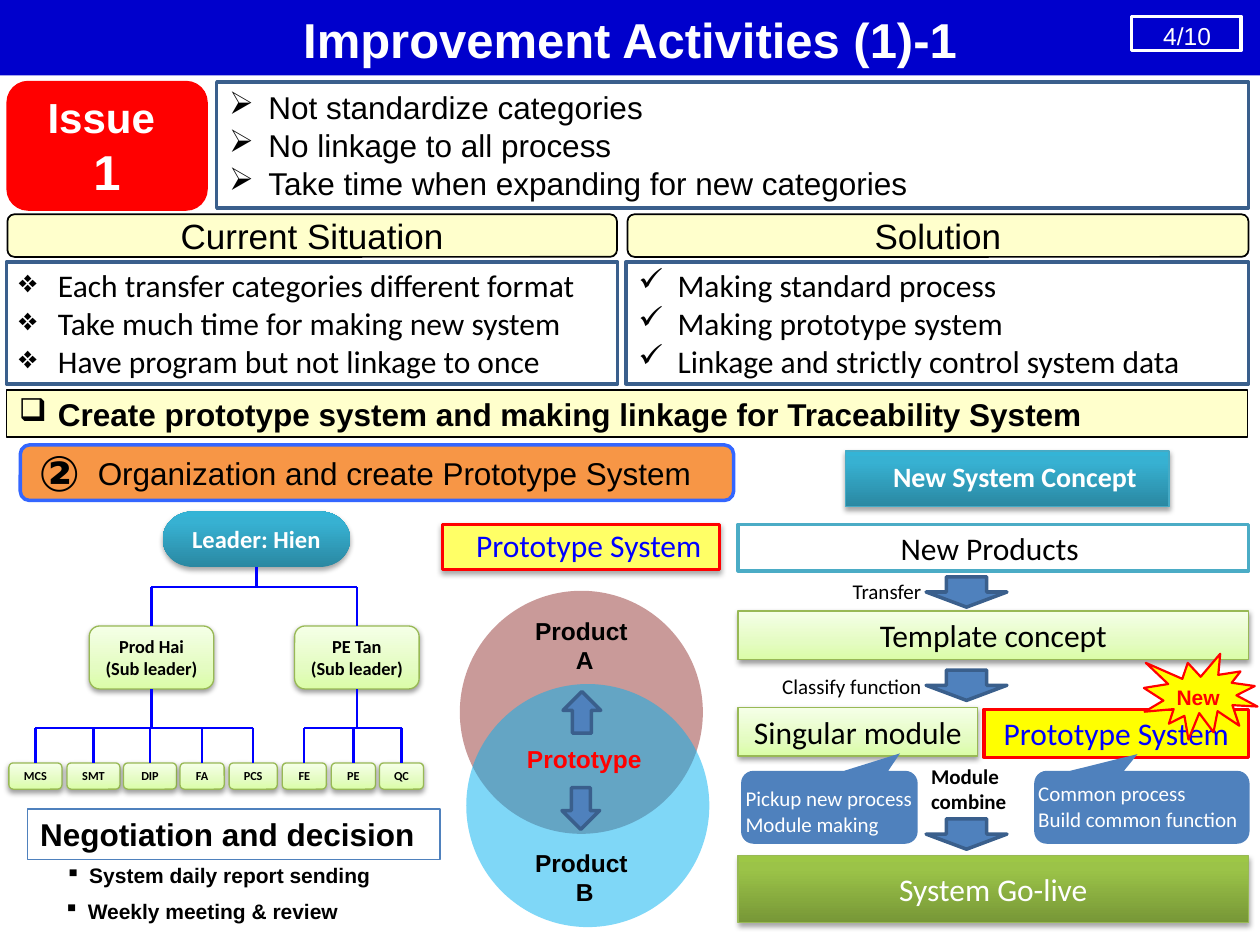
from dataclasses import dataclass, field
from typing import Optional, Union

from lxml.etree import SubElement
from pptx import Presentation
from pptx.dml.color import RGBColor
from pptx.enum.shapes import MSO_CONNECTOR as Link, MSO_SHAPE as Kind
from pptx.enum.text import MSO_ANCHOR as Anchor, MSO_AUTO_SIZE as Fit, PP_ALIGN as Align
from pptx.oxml.ns import qn
from pptx.util import Cm, Pt

BLACK, WHITE, RED, BLUE = "000000", "FFFFFF", "FF0000", "0000FF"
CREAM, STEEL, NAVY = "FFFFCC", "4F81BD", "3A5F8C"


@dataclass(frozen=True)
class Look:
    fill: Union[str, tuple, None] = None
    line: Optional[str] = None
    weight: float = 2
    shadow: int = 0
    opacity: int = 100


@dataclass
class Item:
    kind: Optional[Kind]
    box: tuple
    look: Look = Look()
    text: str = ""
    fmt: dict = field(default_factory=dict)
    adjust: tuple = ()
    turn: int = 0


LIME = Look(((0, "DAFDA7"), (35, "E4FCC2"), (100, "F5FFE7")), "98B955", 0.75, 38)
GREEN = Look(((0, "779737"), (80, "9BC348"), (100, "9DC746")), "98B955", 0.75, 35)
TEAL_STOPS = ((0, "2A88A2"), (80, "37B1D2"), (100, "34B4D6"))
FRAME = Look(None, NAVY)
HEADING = Look(CREAM, BLACK, 1)
ARROW = Look(STEEL, NAVY)
CALLOUT = Look(STEEL)
PLAIN = Look()

CALIBRI = dict(font="Calibri")
LABEL = dict(font="Calibri", size=12, grow=True, align=Align.LEFT)
CALLOUT_TEXT = dict(font="Calibri", size=12, color=WHITE, align=Align.LEFT)
VENN = dict(size=14, bold=True, grow=True)
NOTE = dict(size=12, bold=True, bullet="▪", left=0.48, grow=True)
TAG = dict(font="Calibri", insets=(0.61, 0.18, 0.3, 0.18), spacing=0.9)


def rgb(value: str) -> RGBColor:
    return RGBColor.from_string(value)


def write(shape, text: str, size=18, font="Arial", color=BLACK, bold=False, align=Align.CENTER,
          anchor=None, bullet="", left=0.0, before=0, spacing=None, insets=None, grow=False,
          sizes=()) -> None:
    frame = shape.text_frame
    frame.word_wrap = not grow
    frame.auto_size = Fit.SHAPE_TO_FIT_TEXT if grow else Fit.NONE
    if anchor is not None:
        frame.vertical_anchor = anchor
    if insets:
        (frame.margin_left, frame.margin_top,
         frame.margin_right, frame.margin_bottom) = map(Cm, insets)
    for index, words in enumerate(text.split("\n")):
        paragraph = frame.paragraphs[0] if index == 0 else frame.add_paragraph()
        paragraph.alignment = Align.LEFT if bullet else align
        paragraph.space_before = Pt(before)
        if spacing:
            paragraph.line_spacing = spacing
        run = paragraph.add_run()
        run.text = words
        run.font.size = Pt(sizes[index] if sizes else size)
        run.font.name, run.font.bold = font, bold
        run.font.color.rgb = rgb(color)
        if left:
            properties = paragraph._p.get_or_add_pPr()
            properties.set("marL", str(Cm(left)))
            properties.set("indent", str(-Cm(left) if bullet else 0))
            if bullet:
                SubElement(properties, qn("a:buChar"), char=bullet)


def paint(shape, look: Look) -> None:
    shape.shadow.inherit = False
    properties = shape._element.spPr
    if look.fill is None:
        shape.fill.background()
    elif isinstance(look.fill, str):
        shape.fill.solid()
        shape.fill.fore_color.rgb = rgb(look.fill)
        if look.opacity < 100:
            tone = properties.find(qn("a:solidFill")).find(qn("a:srgbClr"))
            SubElement(tone, qn("a:alpha"), val=str(look.opacity * 1000))
    else:
        shape.fill.gradient()
        shape.fill.gradient_angle = 90
        stops = properties.find(qn("a:gradFill")).find(qn("a:gsLst"))
        for stop in list(stops):
            stops.remove(stop)
        for position, color in look.fill:
            stop = SubElement(stops, qn("a:gs"), pos=str(position * 1000))
            SubElement(stop, qn("a:srgbClr"), val=color)
    if look.line:
        shape.line.color.rgb = rgb(look.line)
        shape.line.width = Pt(look.weight)
    else:
        shape.line.fill.background()
    if look.shadow:
        cast = SubElement(properties.find(qn("a:effectLst")), qn("a:outerShdw"), blurRad=str(Pt(3.1)),
                          dist=str(Pt(1.7)), dir="5400000", rotWithShape="0")
        tone = SubElement(cast, qn("a:srgbClr"), val=BLACK)
        SubElement(tone, qn("a:alpha"), val=str(look.shadow * 1000))


def draw(slide, item: Item):
    box = tuple(map(Cm, item.box))
    if item.kind is None:
        shape = slide.shapes.add_textbox(*box)
    else:
        shape = slide.shapes.add_shape(item.kind, *box)
        paint(shape, item.look)
        for index, value in enumerate(item.adjust):
            shape.adjustments[index] = value
        shape.rotation = item.turn
    if item.text:
        anchor = Anchor.TOP if item.kind is None else Anchor.MIDDLE
        write(shape, item.text, **{"anchor": anchor, **item.fmt})
    return shape


def connect(slide, start: tuple, end: tuple, upper=None, lower=None) -> None:
    link = slide.shapes.add_connector(Link.STRAIGHT, *start, *end)
    link.line.color.rgb = rgb(BLUE)
    link.line.width = Pt(1.25)
    SubElement(link._element.spPr, qn("a:effectLst"))
    if upper is not None:
        link.begin_connect(upper, 2)
    if lower is not None:
        link.end_connect(lower, 0)


def branch(slide, parent, children: list, level: float) -> None:
    bus = Cm(level)
    stem = parent.left + parent.width // 2
    centres = [child.left + child.width // 2 for child in children]
    connect(slide, (stem, parent.top + parent.height), (stem, bus), upper=parent)
    connect(slide, (centres[0], bus), (centres[-1], bus))
    for centre, child in zip(centres, children):
        connect(slide, (centre, bus), (centre, child.top), lower=child)


def draw_team(slide) -> None:
    leader = draw(slide, Item(Kind.FLOWCHART_TERMINATOR, (3.28, 10.31, 3.78, 1.12),
                              Look(TEAL_STOPS, shadow=35), "Leader: Hien",
                              dict(font="Calibri", size=14, bold=True, color=WHITE)))
    teams = (("Prod Hai", 1.8, (("MCS", 0.18, 1.07), ("SMT", 1.35, 1.07), ("DIP", 2.49, 1.07),
                                ("FA", 3.63, 0.89), ("PCS", 4.62, 0.97))),
             ("PE Tan", 5.94, (("FE", 5.69, 0.89), ("PE", 6.68, 0.89), ("QC", 7.65, 0.89))))
    sub_leaders = []
    for name, left, sections in teams:
        sub_leader = draw(slide, Item(Kind.ROUNDED_RECTANGLE, (left, 12.62, 2.51, 1.27), LIME,
                                      f"{name}\n(Sub leader)", dict(font="Calibri", size=10.5, bold=True)))
        members = [draw(slide, Item(Kind.ROUNDED_RECTANGLE, (x, 15.38, width, 0.53), LIME, section,
                                    dict(font="Calibri", size=7, bold=True, insets=(0, 0, 0, 0))))
                   for section, x, width in sections]
        branch(slide, sub_leader, members, 14.67)
        sub_leaders.append(sub_leader)
    branch(slide, leader, sub_leaders, 11.84)


def bullets(mark: str, font: str = "Arial", bold: bool = False) -> dict:
    return dict(bullet=mark, font=font, left=0.79, bold=bold)


HEADER = [
    Item(Kind.RECTANGLE, (0, 0, 25.4, 1.52), Look("0000CC")),
    Item(Kind.RECTANGLE, (22.81, 0.33, 2.21, 0.69), Look("0000CC", WHITE), "4/10",
         dict(size=14, color=WHITE, align=Align.LEFT, anchor=Anchor.TOP, left=0.64, before=2.6,
              insets=(0, 0.1, 0, 0))),
    Item(None, (0, 0.15, 25.4, 1.24), PLAIN, "Improvement Activities (1)-1",
         dict(size=28, bold=True, color=WHITE, anchor=Anchor.MIDDLE, before=1.1, insets=(0, 0.05, 0, 0))),
    Item(Kind.ROUNDED_RECTANGLE, (0.13, 1.63, 4.06, 2.62), Look(RED), "Issue \n1",
         dict(sizes=(24, 28), bold=True, color=WHITE, insets=(0, 0, 0, 0))),
    Item(Kind.RECTANGLE, (4.37, 1.65, 20.8, 2.54), FRAME,
         "Not standardize categories\nNo linkage to all process\nTake time when expanding for new categories",
         bullets("➢")),
    Item(Kind.ROUNDED_RECTANGLE, (0.15, 4.32, 12.29, 0.86), HEADING, "Current Situation", dict(size=20)),
    Item(Kind.RECTANGLE, (0.13, 5.28, 12.32, 2.46), FRAME,
         "Each transfer categories different format\nTake much time for making new system\n"
         "Have program but not linkage to once", bullets("❖", "Calibri")),
    Item(Kind.ROUNDED_RECTANGLE, (12.65, 4.32, 12.52, 0.86), HEADING, "Solution", dict(size=20)),
    Item(Kind.RECTANGLE, (12.62, 5.28, 12.55, 2.46), FRAME,
         "Making standard process\nMaking prototype system\nLinkage and strictly control system data",
         bullets("✓", "Calibri")),
    Item(Kind.RECTANGLE, (0.13, 7.87, 25.02, 0.94), HEADING,
         "Create prototype system and making linkage for Traceability System", bullets("❑", bold=True)),
    Item(Kind.ROUNDED_RECTANGLE, (0.41, 8.97, 14.38, 1.12), Look("F79646", "3366FF"),
         "Organization and create Prototype System", dict(insets=(0.96, 0.13, 0.25, 0.13))),
    Item(None, (0.53, 8.79, 1.45, 1.45), PLAIN, "②", dict(size=28, bold=True, align=Align.LEFT)),
]
MEETINGS = [
    Item(Kind.RECTANGLE, (0.56, 16.31, 8.31, 1.02), Look(None, STEEL, 0.75), "Negotiation and decision",
         dict(bold=True, grow=True, align=Align.LEFT)),
    Item(None, (1.07, 17.27, 6.73, 0.76), PLAIN, "System daily report sending", NOTE),
    Item(None, (1.04, 17.98, 6.1, 0.76), PLAIN, "Weekly meeting & review", NOTE),
]
PROTOTYPE = [
    Item(Kind.OVAL, (9.27, 11.91, 4.9, 4.9), Look("953735", opacity=50)),
    Item(Kind.OVAL, (9.4, 13.79, 4.9, 4.9), Look("00B0F0", opacity=50)),
    Item(None, (10.52, 12.29, 2.54, 1.45), PLAIN, "Product \nA", VENN),
    Item(None, (10.52, 16.97, 2.54, 1.45), PLAIN, "Product \nB", VENN),
    Item(None, (10.36, 14.88, 2.84, 0.86), PLAIN, "Prototype", {**VENN, "color": RED}),
    Item(Kind.DOWN_ARROW, (11.33, 15.88, 0.76, 0.84), ARROW),
    Item(Kind.DOWN_ARROW, (11.35, 13.94, 0.76, 0.84), ARROW, turn=180),
    Item(Kind.RECTANGLE, (8.92, 10.57, 5.59, 0.91), Look("FFFF66", RED, shadow=35), "Prototype System",
         {**TAG, "color": BLUE}),
]
CONCEPT = [
    Item(Kind.RECTANGLE, (17.04, 9.09, 6.53, 1.12), Look(TEAL_STOPS, "46AAC5", 0.75, 35),
         "New System Concept", {**TAG, "size": 16, "bold": True, "color": WHITE}),
    Item(Kind.RECTANGLE, (14.88, 10.57, 10.29, 0.94), Look(WHITE, "4BACC6"), "New Products ", CALIBRI),
    Item(Kind.RECTANGLE, (14.88, 12.32, 10.29, 0.97), LIME, "Template concept", CALIBRI),
    Item(Kind.RECTANGLE, (14.88, 17.25, 10.29, 1.35), GREEN, "System Go-live", {**CALIBRI, "color": WHITE}),
    *(Item(Kind.DOWN_ARROW, (18.67, top, 1.63, 0.61), ARROW) for top in (11.63, 13.51, 16.51)),
    Item(None, (16.94, 11.53, 1.91, 0.76), PLAIN, "Transfer", LABEL),
    Item(None, (15.52, 13.46, 3.35, 0.76), PLAIN, "Classify function", LABEL),
    Item(None, (18.52, 15.27, 2.06, 1.27), PLAIN, "Module\ncombine", {**LABEL, "bold": True}),
    Item(Kind.RECTANGLE, (19.84, 14.3, 5.33, 0.97), Look("FFFF00", RED), "Prototype System",
         {**CALIBRI, "color": BLUE}),
    Item(Kind.RECTANGLE, (14.88, 14.27, 4.83, 0.97), LIME, "Singular module", CALIBRI),
    Item(Kind.ROUNDED_RECTANGULAR_CALLOUT, (20.85, 15.54, 4.34, 1.47), CALLOUT, adjust=(-0.02, -0.73, 0.17)),
    Item(Kind.ROUNDED_RECTANGULAR_CALLOUT, (14.94, 15.54, 3.56, 1.47), CALLOUT, adjust=(0.4, -0.74, 0.17)),
    Item(None, (14.78, 15.72, 4.11, 1.27), PLAIN, "Pickup new process\nModule making", CALLOUT_TEXT),
    Item(None, (20.68, 15.62, 4.6, 1.27), PLAIN, "Common process\nBuild common function", CALLOUT_TEXT),
    Item(Kind.EXPLOSION1, (23.06, 13.18, 2.29, 1.73), Look("FFFF00", RED, 1.25)),
    Item(None, (23.47, 13.67, 2.06, 0.61), PLAIN, "New", dict(size=12, bold=True, color=RED, align=Align.LEFT)),
]


def main() -> None:
    deck = Presentation()
    deck.slide_width, deck.slide_height = Cm(25.4), Cm(19.05)
    slide = deck.slides.add_slide(deck.slide_layouts[6])
    for item in HEADER + MEETINGS + PROTOTYPE + CONCEPT:
        draw(slide, item)
    draw_team(slide)
    deck.save("out.pptx")


if __name__ == "__main__":
    main()
